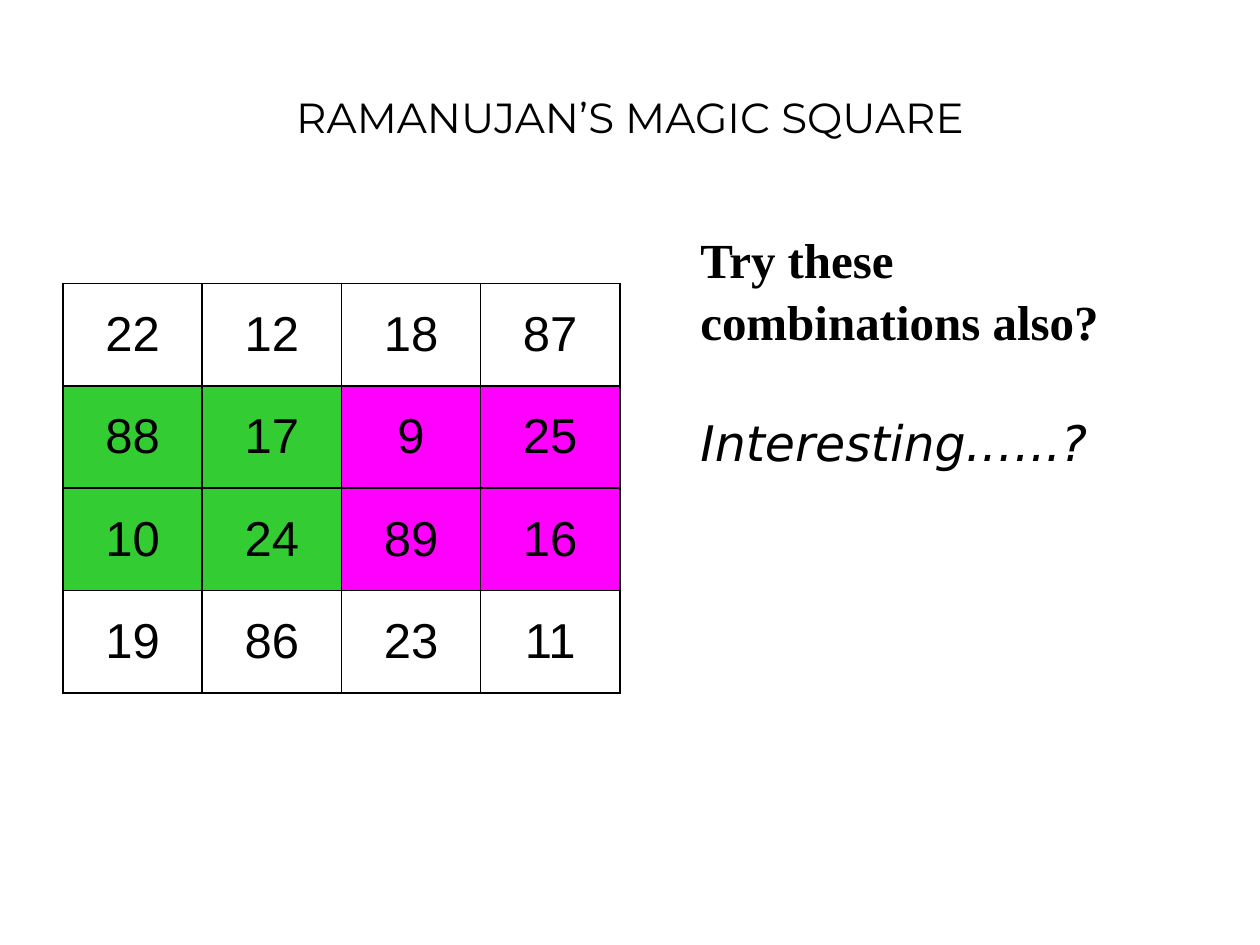
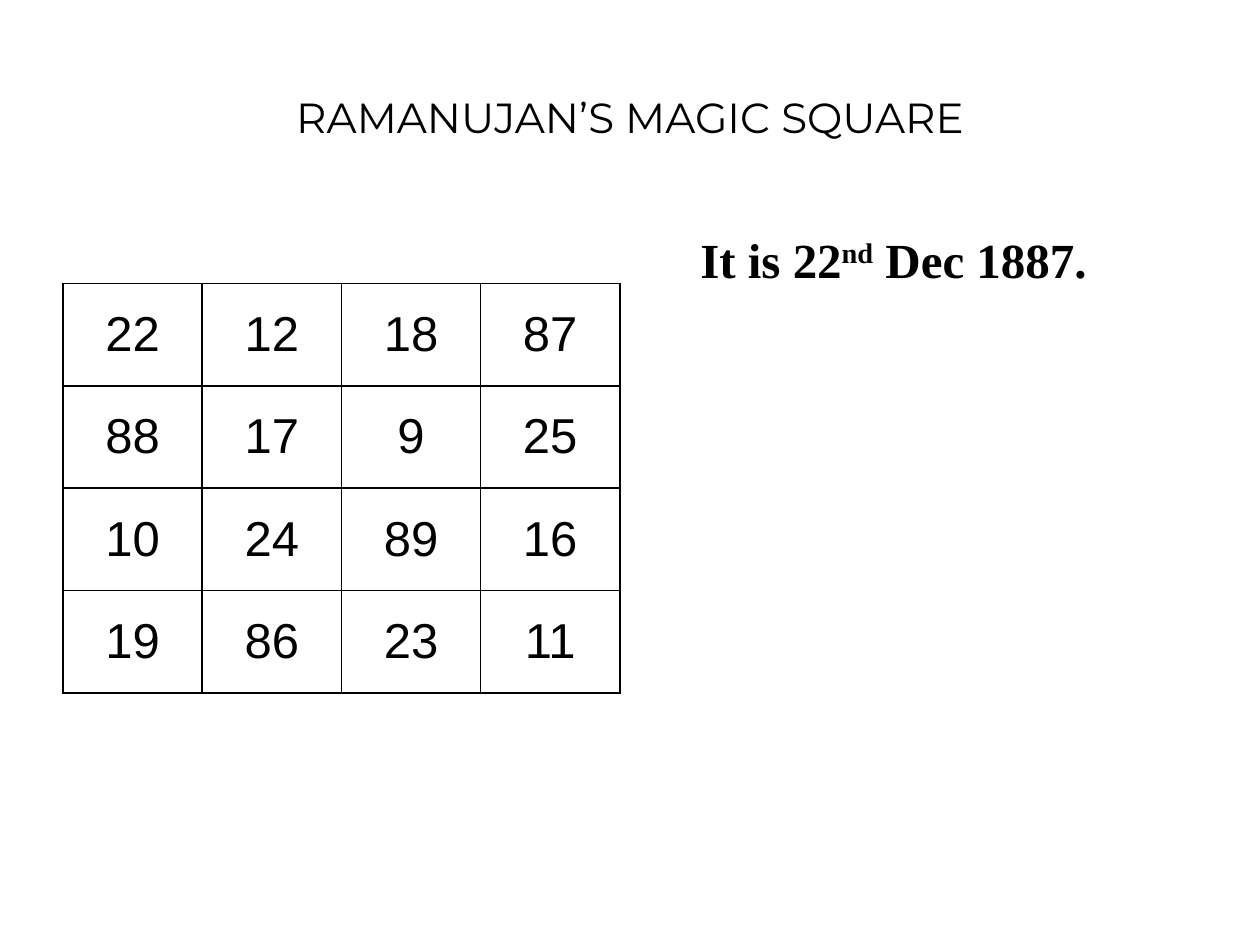
import pptx
import pptx.dml.color
import pptx.enum.text
import pptx.oxml
import pptx.oxml.ns
import pptx.util
from pptx.util import Inches

COLORS = {"text": "000000", "plain": "FFFFFF", "left": "33CC33", "right": "FF00FF"}
TITLE = "RAMANUJAN’S MAGIC SQUARE"
SQUARE = [
    [22, 12, 18, 87],
    [88, 17, 9, 25],
    [10, 24, 89, 16],
    [19, 86, 23, 11],
]
# Colour of each cell in the two middle rows
MIDDLE_PAIRS = {
    (row, col): "left" if col < 2 else "right" for row in (1, 2) for col in range(4)
}
BORDER_WIDTH = 1.08
ALIGN = pptx.enum.text.PP_ALIGN
ANCHOR = pptx.enum.text.MSO_ANCHOR


def rgb(name):
    return pptx.dml.color.RGBColor.from_string(COLORS[name])


def add_text(p, text, font="Arial", size=28, bold=False, italic=False, align=None, baseline=0):
    """Add one formatted run to a paragraph."""
    if align is not None:
        p.alignment = align
    r = p.add_run()
    r.text = text
    r.font.name = font
    r.font.size = pptx.util.Pt(size)
    r.font.bold = bold
    r.font.italic = italic
    r.font.color.rgb = rgb("text")
    if baseline:
        r.font._element.set("baseline", str(baseline * 1000))


def add_box(slide, left, top, width, height, anchor=ANCHOR.TOP):
    sp = slide.shapes.add_textbox(Inches(left), Inches(top), Inches(width), Inches(height))
    tf = sp.text_frame
    tf.word_wrap = True
    tf.vertical_anchor = anchor
    return tf


def add_title(slide):
    tf = add_box(slide, 0.5, 0.3, 9, 1.25, anchor=ANCHOR.MIDDLE)
    add_text(tf.paragraphs[0], TITLE, font="Montserrat", size=24, align=ALIGN.CENTER)


def set_borders(cell):
    tc_pr = cell._tc.get_or_add_tcPr()
    for side in ("lnL", "lnR", "lnT", "lnB"):
        tc_pr.append(pptx.oxml.parse_xml(
            f'<a:{side} {pptx.oxml.ns.nsdecls("a")} w="{pptx.util.Pt(BORDER_WIDTH)}">'
            f'<a:solidFill><a:srgbClr val="{COLORS["text"]}"/></a:solidFill></a:{side}>'
        ))


def add_square(slide, highlights):
    table = slide.shapes.add_table(
        4, 4, Inches(0.5), Inches(2.25), Inches(4.42), Inches(3.25)
    ).table
    table.first_row = False
    table.horz_banding = False
    for row, numbers in enumerate(SQUARE):
        for col, number in enumerate(numbers):
            cell = table.cell(row, col)
            set_borders(cell)
            cell.fill.solid()
            cell.fill.fore_color.rgb = rgb(highlights.get((row, col), "plain"))
            cell.vertical_anchor = ANCHOR.MIDDLE
            add_text(cell.text_frame.paragraphs[0], str(number), align=ALIGN.CENTER)


def add_note(slide, paragraphs):
    """Each paragraph is a list of (text, format) runs."""
    tf = add_box(slide, 5.08, 1.75, 4.42, 4.95)
    for i, runs in enumerate(paragraphs):
        p = tf.add_paragraph() if i else tf.paragraphs[0]
        p._p.get_or_add_pPr().set("marL", str(Inches(0.38)))
        p.line_spacing = 1.05
        if i:
            p.space_before = pptx.util.Pt(34)
        for text, style in runs:
            add_text(p, text, **style)


def add_square_slide(prs, paragraphs, highlights):
    slide = prs.slides.add_slide(prs.slide_layouts[6])
    add_title(slide)
    add_square(slide, highlights)
    add_note(slide, paragraphs)


def main():
    prs = pptx.Presentation()
    prs.slide_width, prs.slide_height = Inches(10), Inches(7.5)
    serif = {"font": "Times New Roman", "bold": True}

    # Middle 2 x 2 combinations
    add_square_slide(prs, [
        [("Try these combinations also?", serif)],
        [("Interesting.…..?", {"font": "DejaVu Sans", "italic": True})],
    ], MIDDLE_PAIRS)

    # Date hidden in the top row
    add_square_slide(prs, [
        [("It is 22", serif), ("nd", {**serif, "baseline": 30}), (" Dec 1887.", serif)],
    ], {})

    prs.save("out.pptx")


if __name__ == "__main__":
    main()
